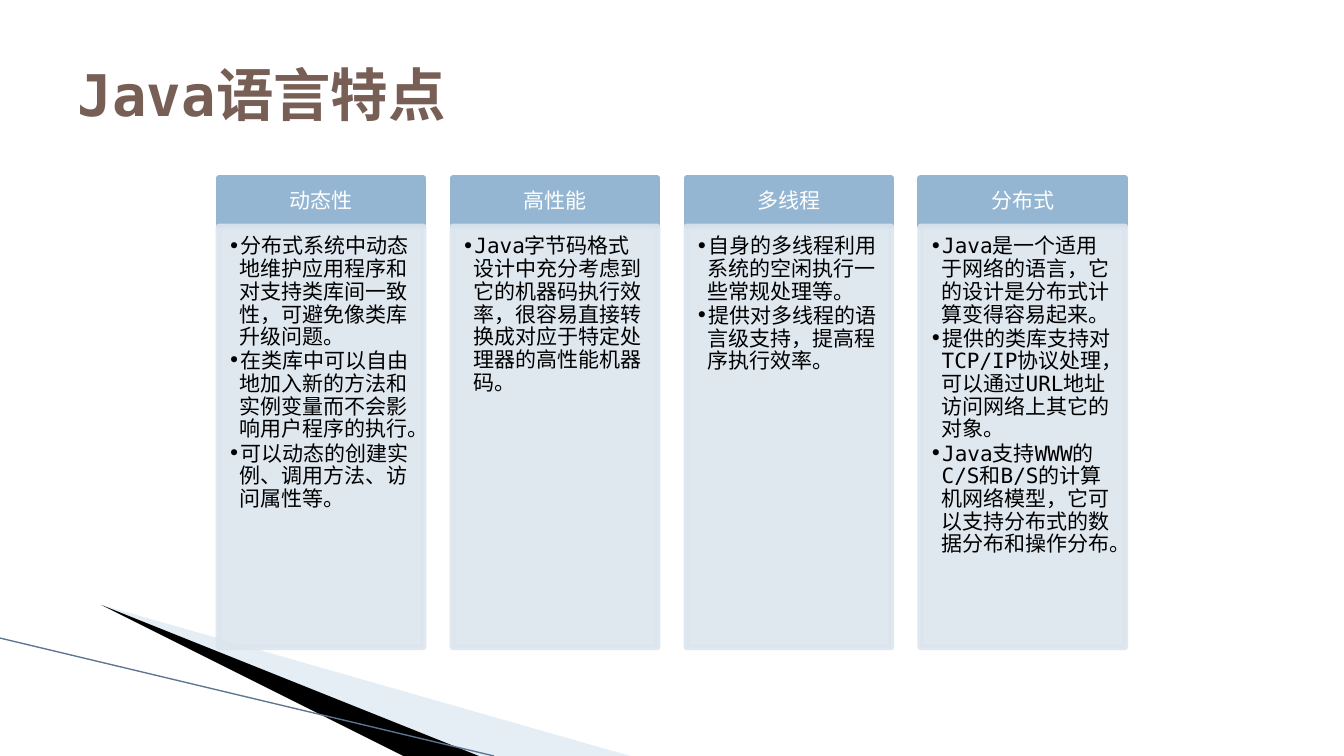
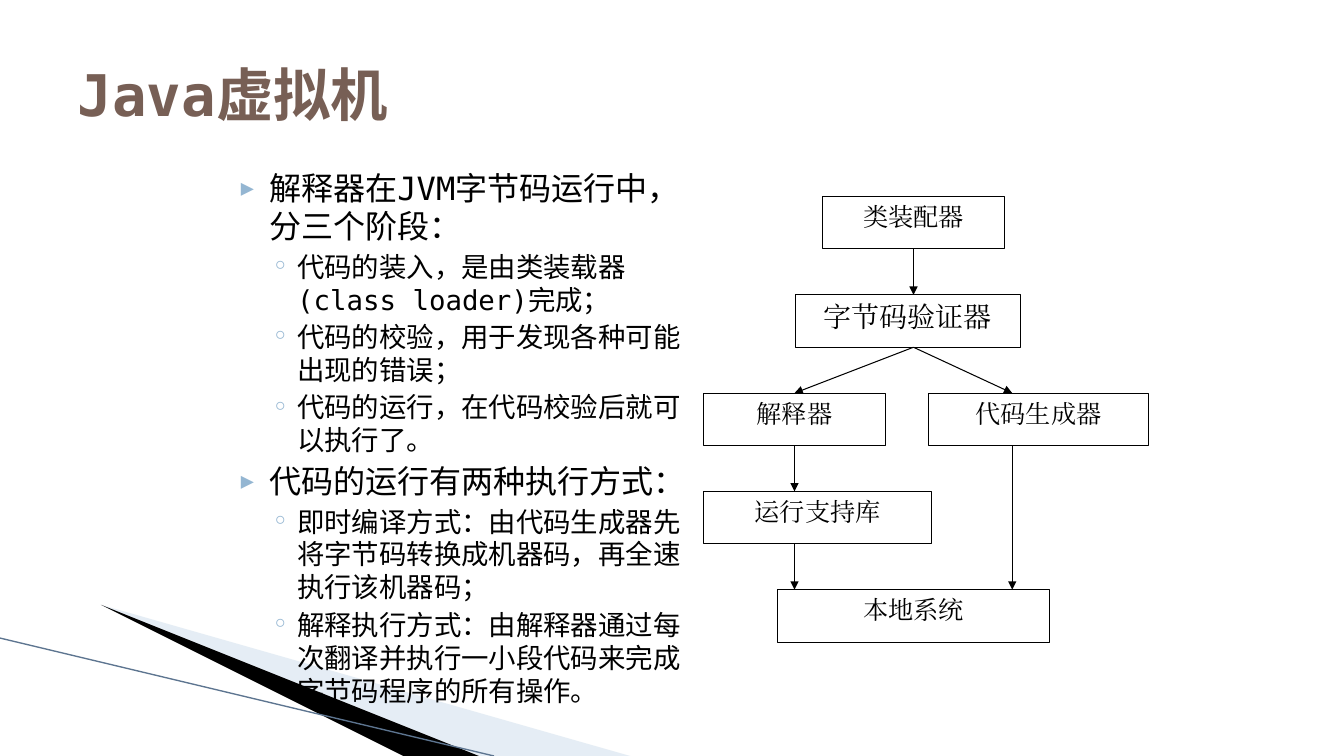
from lxml.etree import SubElement
from pptx import Presentation
from pptx.dml.color import RGBColor
from pptx.enum.lang import MSO_LANGUAGE_ID
from pptx.enum.shapes import MSO_CONNECTOR, MSO_SHAPE
from pptx.enum.text import MSO_ANCHOR, MSO_AUTO_SIZE, PP_ALIGN
from pptx.oxml.ns import qn
from pptx.util import Inches, Pt

BLACK = RGBColor(0x00, 0x00, 0x00)
WHITE = RGBColor(0xFF, 0xFF, 0xFF)
BROWN = RGBColor(0x77, 0x5F, 0x55)
BLUE = RGBColor(0x94, 0xB6, 0xD2)
PALE_BLUE = RGBColor(0xDC, 0xE5, 0xEE)
WEDGE_BLUE = RGBColor(0xC0, 0xD3, 0xE6)
EDGE_BLUE = RGBColor(0x5D, 0x75, 0x90)
MONO, SERIF = "DejaVu Sans Mono", "Times New Roman"


class Deck:
    """Holds the shared style and the current slide."""

    def __init__(self):
        self.prs = Presentation()
        self.prs.slide_width, self.prs.slide_height = Inches(13.33), Inches(7.5)
        self.slide = None

    # Slide with corner decoration and title
    def add_slide(self, title):
        self.slide = self.prs.slides.add_slide(self.prs.slide_layouts[5])
        self.wedge([(0.73, 6.5), (7.93, 7.5), (6.08, 7.5)], WEDGE_BLUE, 40)
        self.wedge([(0.71, 6.49), (6.09, 7.5), (4.96, 7.5)], BLACK)
        self.line((0, 6.33), (4.9, 7.5), EDGE_BLUE, 0.95)
        sp = self.slide.shapes.title
        sp.left, sp.top, sp.width, sp.height = map(Inches, (0.67, 0.3, 12, 1.25))
        tf = sp.text_frame
        tf.text = title
        tf.auto_size = MSO_AUTO_SIZE.NONE
        tf.vertical_anchor = MSO_ANCHOR.MIDDLE
        self.style(tf.paragraphs[0], 41, BROWN, bold=True)

    def style(self, p, size, color=BLACK, font=MONO, align=PP_ALIGN.LEFT, bold=False):
        p.alignment = align
        for r in p.runs:
            f = r.font
            f.size, f.bold, f.name = Pt(size), bold, font
            f.color.rgb = color
            f.language_id = MSO_LANGUAGE_ID.SIMPLIFIED_CHINESE
            SubElement(r._r.get_or_add_rPr(), qn("a:ea"), typeface=font)

    def alpha(self, sp, percent):
        for clr in sp._element.spPr.iter(qn("a:srgbClr")):
            SubElement(clr, qn("a:alpha"), val=str(percent * 1000))

    def bullet(self, p, char, indent, hanging, color=None, percent=None):
        pPr = p._p.get_or_add_pPr()
        pPr.set("marL", str(Inches(indent)))
        pPr.set("indent", str(-Inches(hanging)))
        if color is not None:
            SubElement(SubElement(pPr, qn("a:buClr")), qn("a:srgbClr"), val=str(color))
        if percent:
            SubElement(pPr, qn("a:buSzPct"), val=str(percent * 1000))
        SubElement(pPr, qn("a:buFont"), typeface=MONO)
        SubElement(pPr, qn("a:buChar"), char=char)

    def wedge(self, points, color, alpha=100):
        fb = self.slide.shapes.build_freeform(*points[0], scale=Inches(1))
        fb.add_line_segments(points[1:], close=True)
        sp = fb.convert_to_shape()
        sp.shadow.inherit = False
        sp.fill.solid()
        sp.fill.fore_color.rgb = color
        sp.line.fill.background()
        if alpha < 100:
            self.alpha(sp, alpha)

    def line(self, start, end, color=BLACK, width=0.75, arrow=False):
        cx = self.slide.shapes.add_connector(
            MSO_CONNECTOR.STRAIGHT, *map(Inches, start + end))
        cx.line.color.rgb = color
        cx.line.width = Pt(width)
        if arrow:
            SubElement(cx.line._get_or_add_ln(), qn("a:tailEnd"), type="triangle")
        SubElement(cx._element.spPr, qn("a:effectLst"))
        return cx

    def box(self, at, fill=None, line=BLACK, width=0.75, insets=(0.1, 0.05, 0.1, 0.05),
            anchor=MSO_ANCHOR.TOP):
        sp = self.slide.shapes.add_shape(MSO_SHAPE.RECTANGLE, *map(Inches, at))
        sp.shadow.inherit = False
        if fill is None:
            sp.fill.background()
        else:
            sp.fill.solid()
            sp.fill.fore_color.rgb = fill
        sp.line.color.rgb = line
        sp.line.width = Pt(width)
        tf = sp.text_frame
        tf.word_wrap = True
        tf.vertical_anchor = anchor
        (tf.margin_left, tf.margin_top,
         tf.margin_right, tf.margin_bottom) = map(Inches, insets)
        return sp

    def paragraphs(self, tf, texts):
        for i, text in enumerate(texts):
            p = tf.paragraphs[0] if i == 0 else tf.add_paragraph()
            p.text = text
            yield p

    # Column with a header and a bulleted card
    def column(self, left, heading, points):
        head = self.box((left, 1.77, 2.03, 0.47), BLUE, BLUE, 4.33,
                        (0.12, 0.07, 0.12, 0.07), MSO_ANCHOR.MIDDLE)
        head.text_frame.text = heading
        p = head.text_frame.paragraphs[0]
        p.line_spacing = 0.9
        self.style(p, 15, WHITE, align=PP_ALIGN.CENTER)
        card = self.box((left, 2.25, 2.03, 4.17), PALE_BLUE, PALE_BLUE, 4.33,
                        (0.09, 0.09, 0.12, 0.13))
        self.alpha(card, 90)
        for p in self.paragraphs(card.text_frame, points):
            p.line_spacing, p.space_after = 0.9, Pt(1)
            self.style(p, 15)
            self.bullet(p, "•", 0.12, 0.12)

    # Two-level bulleted text
    def outline(self, at, items):
        tf = self.slide.shapes.add_textbox(*map(Inches, at)).text_frame
        tf.word_wrap = True
        levels = [level for level, _ in items]
        for level, p in zip(levels, self.paragraphs(tf, [text for _, text in items])):
            p.level = level
            p.space_before = Pt(3.2 if level else 4)
            self.style(p, 19.6 if level else 22.9)
            if level:
                self.bullet(p, "◦", 0.68, 0.25, BLUE)
            else:
                self.bullet(p, "▶", 0.4, 0.28, BLUE, 68)

    def node(self, left, top, width, text, size=18):
        sp = self.box((left, top, width, 0.52))
        sp.text_frame.text = text
        self.style(sp.text_frame.paragraphs[0], size, font=SERIF, align=PP_ALIGN.CENTER)
        return sp


COLUMNS = [
    ("动态性", [
        "分布式系统中动态地维护应用程序和对支持类库间一致性，可避免像类库升级问题。",
        "在类库中可以自由地加入新的方法和实例变量而不会影响用户程序的执行。",
        "可以动态的创建实例、调用方法、访问属性等。"]),
    ("高性能", [
        "Java字节码格式设计中充分考虑到它的机器码执行效率，很容易直接转换成对应于特定处理器的高性能机器码。"]),
    ("多线程", [
        "自身的多线程利用系统的空闲执行一些常规处理等。",
        "提供对多线程的语言级支持，提高程序执行效率。"]),
    ("分布式", [
        "Java是一个适用于网络的语言，它的设计是分布式计算变得容易起来。",
        "提供的类库支持对TCP/IP协议处理，可以通过URL地址访问网络上其它的对象。",
        "Java支持WWW的C/S和B/S的计算机网络模型，它可以支持分布式的数据分布和操作分布。"]),
]
JVM_POINTS = [
    (0, "解释器在JVM字节码运行中，分三个阶段："),
    (1, "代码的装入，是由类装载器(class loader)完成；"),
    (1, "代码的校验，用于发现各种可能出现的错误；"),
    (1, "代码的运行，在代码校验后就可以执行了。"),
    (0, "代码的运行有两种执行方式："),
    (1, "即时编译方式：由代码生成器先将字节码转换成机器码，再全速执行该机器码；"),
    (1, "解释执行方式：由解释器通过每次翻译并执行一小段代码来完成字节码程序的所有操作。"),
]


def main():
    deck = Deck()

    # Language features
    deck.add_slide("Java语言特点")
    for i, (heading, points) in enumerate(COLUMNS):
        deck.column(2.17 + 2.32 * i, heading, points)

    # Virtual machine
    deck.add_slide("Java虚拟机")
    deck.outline((2.17, 1.62, 4.73, 4.86), JVM_POINTS)

    # Flow chart: five rows at an equal pitch
    tops = [1.95 + 0.975 * row for row in range(5)]
    bottoms = [top + 0.52 for top in tops]
    loader = deck.node(8.16, tops[0], 1.8, "类装配器")
    deck.node(7.89, tops[1], 2.23, "字节码验证器", 20)
    deck.node(9.21, tops[2], 2.18, "代码生成器")
    interpreter = deck.node(6.98, tops[2], 1.8, "解释器")
    deck.node(6.98, tops[3], 2.26, "运行支持库")
    deck.node(7.71, tops[4], 2.7, "本地系统")

    # Arrows: start x, start row, end x, end row, joined boxes
    left, middle, right = 7.88, 9.06, 10.04
    for x1, row1, x2, row2, source, target in [
            (middle, 0, middle, 1, loader, None),
            (middle, 1, right, 2, None, None),
            (middle, 1, left, 2, None, interpreter),
            (left, 2, left, 3, interpreter, None),
            (left, 3, left, 4, None, None),
            (right, 2, right, 4, None, None)]:
        cx = deck.line((x1, bottoms[row1]), (x2, tops[row2]), arrow=True)
        if source:
            cx.begin_connect(source, 2)
        if target:
            cx.end_connect(target, 0)

    deck.prs.save("out.pptx")


if __name__ == "__main__":
    main()
